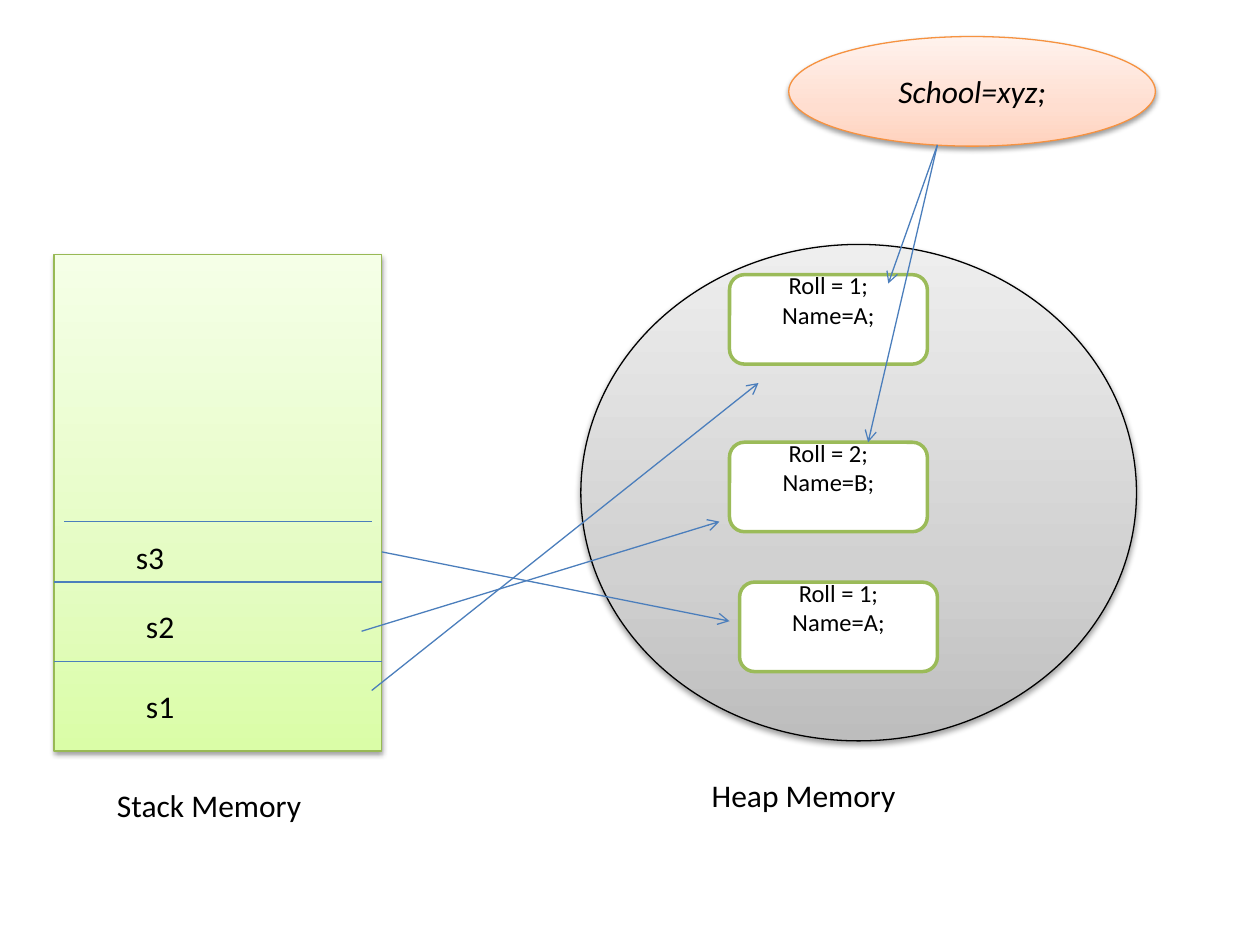
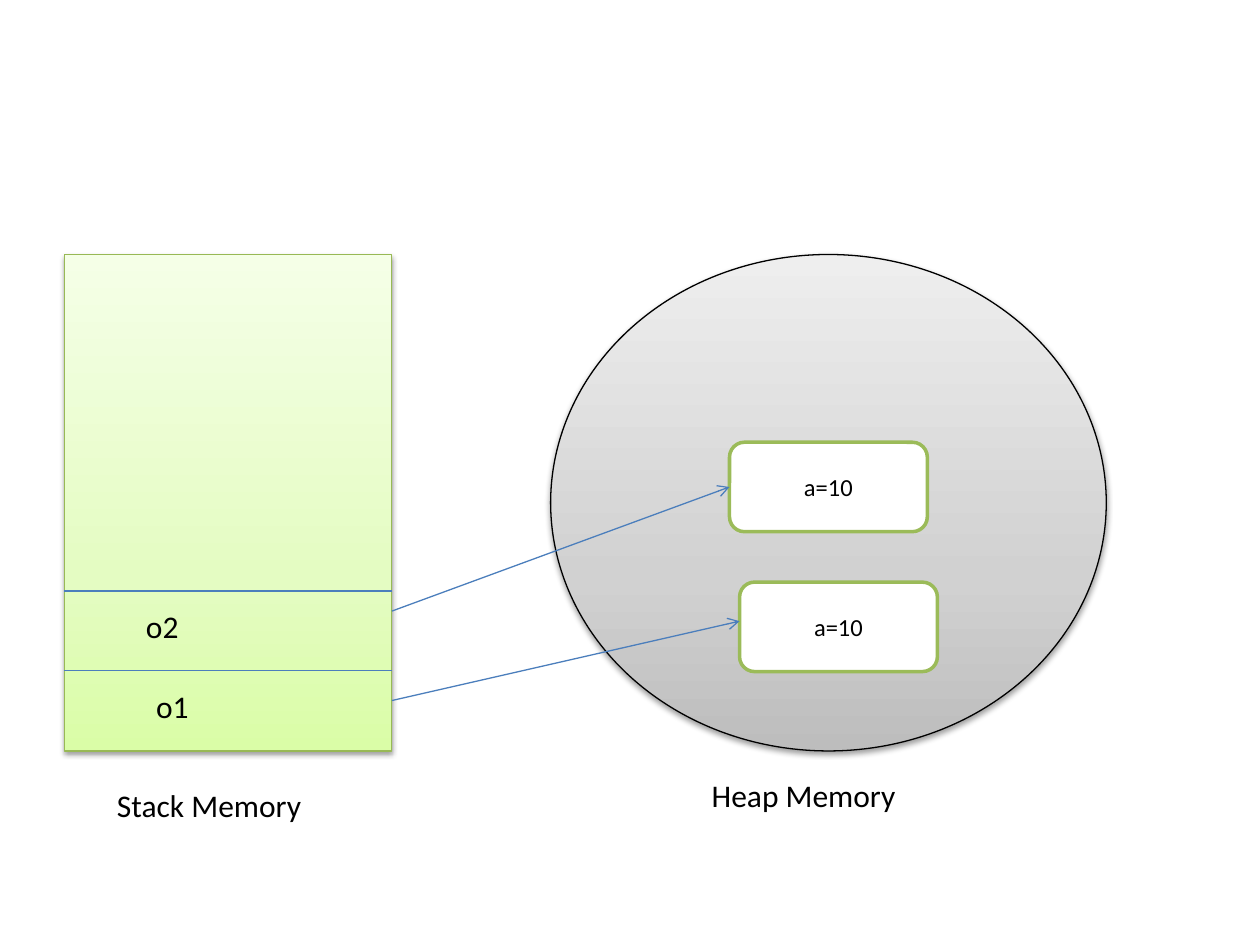
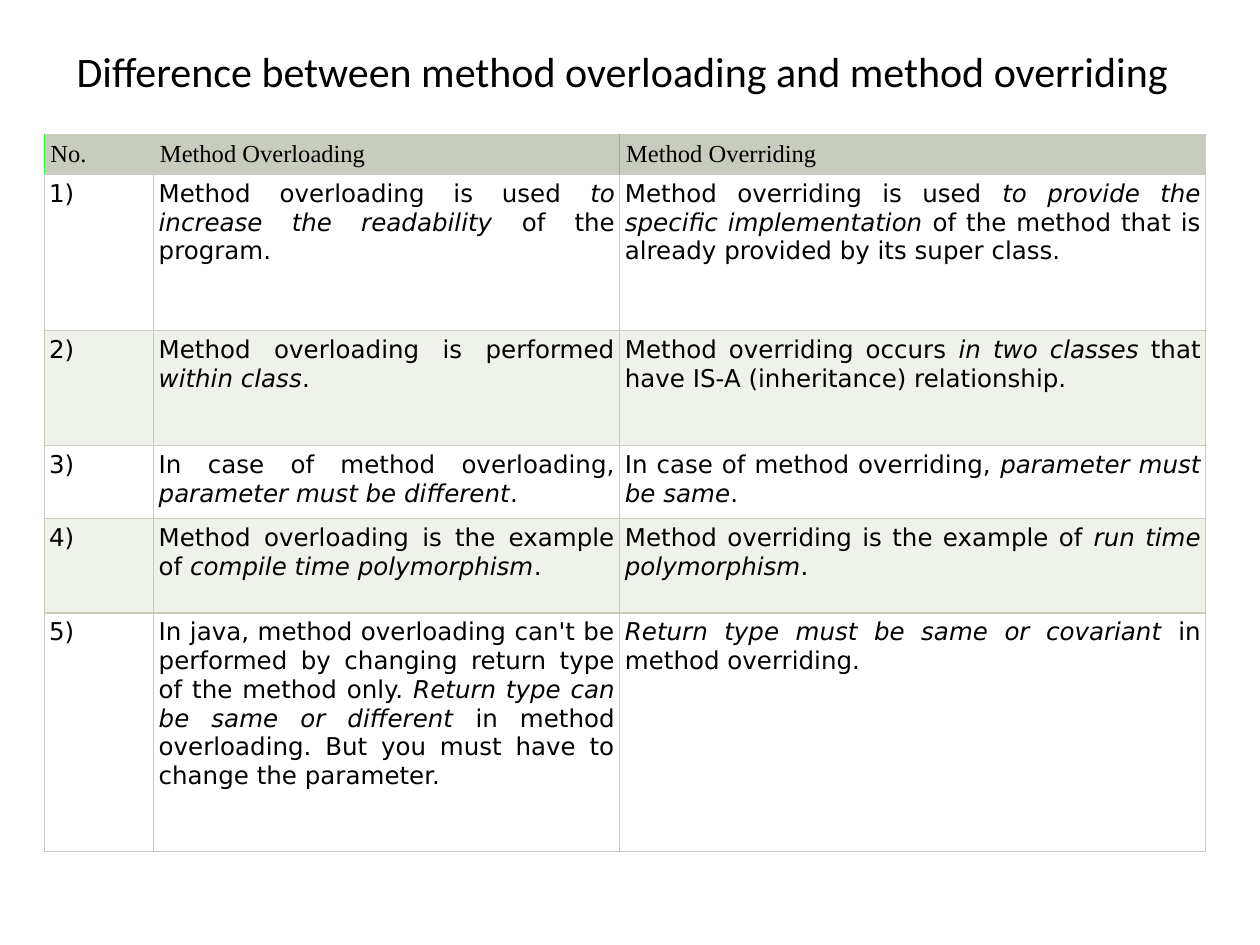
import copy
import dataclasses
import typing

import lxml.etree
import pptx
import pptx.dml.color
import pptx.enum.dml
import pptx.enum.shapes
import pptx.enum.text
import pptx.oxml.ns
import pptx.shapes.autoshape
import pptx.shapes.connector
import pptx.slide
import pptx.table
import pptx.util

Inches = pptx.util.Inches
Pt = pptx.util.Pt
SHAPE = pptx.enum.shapes.MSO_SHAPE
ANCHOR = pptx.enum.text.MSO_ANCHOR
ALIGN = pptx.enum.text.PP_ALIGN

BLACK, WHITE = "000000", "FFFFFF"
LINE_BLUE = "4B7EBC"
OBJECT_GREEN = "9BBB59"
TABLE_GREY, BAND_GREY, HEADER_GREEN = "C7CCBE", "EFF1EB", "30F43A"
BODY_FONT, HEADER_FONT, CELL_FONT = "Calibri", "Times New Roman", "DejaVu Sans"

LABEL_FORMAT = {"word_wrap": True, "auto_size": pptx.enum.text.MSO_AUTO_SIZE.SHAPE_TO_FIT_TEXT}
TITLE_FORMAT = {"word_wrap": True, "vertical_anchor": ANCHOR.TOP}
CENTRED_FORMAT = {"word_wrap": True, "vertical_anchor": ANCHOR.MIDDLE}
RAISED_FORMAT = CENTRED_FORMAT | {"margin_top": 0, "margin_bottom": Inches(0.31)}
PLAIN_TABLE = {"first_row": False, "horz_banding": False}

STACK_TOP, STACK_WIDTH, MEMORY_HEIGHT = 2.02, 2.6, 3.94
HEAP_WIDTH = 4.41
OBJECT_WIDTH, OBJECT_HEIGHT = 1.57, 0.71


class Box(typing.NamedTuple):
    left: float
    top: float
    width: float
    height: float


class Label(typing.NamedTuple):
    text: str
    left: float
    top: float
    width: float = 0.79


class HeapObject(typing.NamedTuple):
    text: str
    left: float
    top: float


class Segment(typing.NamedTuple):
    x1: float
    y1: float
    x2: float
    y2: float
    target: int | None = None  # index of the heap object joined at its left side


class Gradient(typing.NamedTuple):
    bottom: str
    middle: str
    top: str
    outline: str


STACK_STYLE = Gradient("DAFDA7", "E4FCC2", "F5FFE7", "98B955")
HEAP_STYLE = Gradient("BDBDBD", "D1D1D1", "EEEEEE", BLACK)
STATIC_STYLE = Gradient("FFD2BD", "FFDED0", "FFF2ED", "F69240")
CAPTIONS = (Label("Stack Memory", 0.83, 6.19, 1.89), Label("Heap Memory", 5.55, 6.11, 1.89))


@dataclasses.dataclass(frozen=True)
class MemoryDiagram:
    stack_left: float
    heap_left: float
    heap_top: float
    dividers: tuple[Segment, ...]
    variables: tuple[Label, ...]
    objects: tuple[HeapObject, ...]
    references: tuple[Segment, ...]
    static_field: str = ""


SCHOOL_DIAGRAM = MemoryDiagram(
    stack_left=0.43,
    heap_left=4.61,
    heap_top=1.94,
    dividers=(
        Segment(0.43, 5.25, 3.03, 5.25),
        Segment(0.43, 4.62, 3.03, 4.62),
        Segment(0.51, 4.14, 2.95, 4.14),
    ),
    variables=(Label("s1", 1.06, 5.4), Label("s2", 1.06, 4.77), Label("s3", 0.98, 4.22)),
    objects=(
        HeapObject("Roll = 1;\nName=A;", 5.79, 2.18),
        HeapObject("Roll = 2;\nName=B;", 5.79, 3.51),
        HeapObject("Roll = 1;\nName=A;", 5.87, 4.62),
    ),
    references=(
        Segment(2.87, 5.01, 5.71, 4.14),
        Segment(2.95, 5.48, 6.02, 3.04),
        Segment(7.44, 1.15, 7.05, 2.25),
        Segment(7.44, 1.15, 6.89, 3.51),
        Segment(3.03, 4.38, 5.79, 4.93),
    ),
    static_field="School=xyz;",
)

INSTANCE_DIAGRAM = MemoryDiagram(
    stack_left=0.51,
    heap_left=4.37,
    heap_top=2.02,
    dividers=(Segment(0.51, 5.32, 3.11, 5.32), Segment(0.51, 4.69, 3.11, 4.69)),
    variables=(Label("o1", 1.14, 5.4), Label("o2", 1.06, 4.77)),
    objects=(HeapObject("a=10", 5.79, 3.51), HeapObject("a=10", 5.87, 4.62)),
    references=(
        Segment(3.11, 5.56, 5.87, 4.93),
        Segment(3.11, 4.85, 5.79, 3.87, target=0),
    ),
)

# Asterisks enclose italic wording.
COMPARISON_HEADER = ("No.", "Method Overloading", "Method Overriding")
COMPARISON = (
    (
        "Method overloading is used *to increase the readability* of the program.",
        "Method overriding is used *to provide the specific implementation* of the method "
        "that is already provided by its super class.",
    ),
    (
        "Method overloading is performed *within class*.",
        "Method overriding occurs *in two classes* that have IS-A (inheritance) relationship.",
    ),
    (
        "In case of method overloading, *parameter must be different*.",
        "In case of method overriding, *parameter must be same*.",
    ),
    (
        "Method overloading is the example of *compile time polymorphism*.",
        "Method overriding is the example of *run time polymorphism*.",
    ),
    (
        "In java, method overloading can't be performed by changing return type of the method "
        "only. *Return type can be same or different* in method overloading. But you must have "
        "to change the parameter.",
        "*Return type must be same or covariant* in method overriding.",
    ),
)
COLUMN_WIDTHS = (0.87, 3.7, 4.65)
ROW_HEIGHTS = (0.31, 1.24, 0.91, 0.58, 0.75, 1.89)


def rgb(value: str) -> pptx.dml.color.RGBColor:
    return pptx.dml.color.RGBColor.from_string(value)


def apply_format(target: typing.Any, values: dict[str, typing.Any]) -> None:
    for name, value in values.items():
        setattr(target, name, value)


def add_xml(parent: typing.Any, tag: str, **attributes: str) -> typing.Any:
    return lxml.etree.SubElement(parent, pptx.oxml.ns.qn(tag), attributes)


def write(frame: typing.Any, text: str, size: float, font: str = BODY_FONT,
          align: ALIGN = ALIGN.LEFT, italic: bool = False) -> None:
    """Write one paragraph per line; wording between asterisks is italic."""
    for number, line in enumerate(text.split("\n")):
        paragraph = frame.add_paragraph() if number else frame.paragraphs[0]
        paragraph.alignment = align
        for part, wording in enumerate(line.split("*")):
            if wording:
                run = paragraph.add_run()
                run.text = wording
                apply_format(run.font, {"size": Pt(size), "name": font,
                                        "italic": italic or part % 2 == 1})
                run.font.color.rgb = rgb(BLACK)


def add_text(slide: pptx.slide.Slide, box: Box, text: str, size: float,
             frame_format: dict[str, typing.Any]) -> None:
    frame = slide.shapes.add_textbox(*map(Inches, box)).text_frame
    apply_format(frame, frame_format)
    write(frame, text, size)


def add_label(slide: pptx.slide.Slide, label: Label) -> None:
    add_text(slide, Box(label.left, label.top, label.width, 0.4), label.text, 18, LABEL_FORMAT)


def add_outlined(slide: pptx.slide.Slide, kind: SHAPE, box: Box, outline: str,
                 weight: float) -> pptx.shapes.autoshape.Shape:
    shape = slide.shapes.add_shape(kind, *map(Inches, box))
    shape.shadow.inherit = False
    shape.line.color.rgb = rgb(outline)
    shape.line.width = Pt(weight)
    return shape


def add_region(slide: pptx.slide.Slide, kind: SHAPE, box: Box,
               style: Gradient) -> pptx.shapes.autoshape.Shape:
    """Add a shape with a three-stop vertical gradient and a soft shadow below."""
    shape = add_outlined(slide, kind, box, style.outline, 0.75)
    shape.fill.gradient()
    shape.fill.gradient_angle = 90
    properties = shape._element.spPr
    stop_list = properties.find(".//" + pptx.oxml.ns.qn("a:gsLst"))
    stop_list.insert(1, copy.deepcopy(stop_list[0]))
    colours = (style.bottom, style.middle, style.top)
    for stop, position, colour in zip(shape.fill.gradient_stops, (0, 0.35, 1), colours):
        stop.position = position
        stop.color.rgb = rgb(colour)

    effects = properties.find(pptx.oxml.ns.qn("a:effectLst"))
    shadow = add_xml(effects, "a:outerShdw", blurRad=str(Pt(3.1)), dist=str(Pt(1.6)),
                     dir="5400000", rotWithShape="0")
    shadow_colour = add_xml(shadow, "a:srgbClr", val=BLACK)
    add_xml(shadow_colour, "a:alpha", val="38000")
    return shape


def add_object(slide: pptx.slide.Slide, item: HeapObject) -> pptx.shapes.autoshape.Shape:
    box = Box(item.left, item.top, OBJECT_WIDTH, OBJECT_HEIGHT)
    shape = add_outlined(slide, SHAPE.ROUNDED_RECTANGLE, box, OBJECT_GREEN, 2)
    shape.fill.solid()
    shape.fill.fore_color.rgb = rgb(WHITE)
    apply_format(shape.text_frame, RAISED_FORMAT if "\n" in item.text else CENTRED_FORMAT)
    write(shape.text_frame, item.text, 14, align=ALIGN.CENTER)
    return shape


def add_line(slide: pptx.slide.Slide, segment: Segment,
             arrow: bool = False) -> pptx.shapes.connector.Connector:
    line = slide.shapes.add_connector(pptx.enum.shapes.MSO_CONNECTOR.STRAIGHT,
                                      *map(Inches, segment[:4]))
    line.line.color.rgb = rgb(LINE_BLUE)
    line.line.width = Pt(0.75)
    if arrow:
        add_xml(line.line._get_or_add_ln(), "a:tailEnd", type="arrow")
    add_xml(line._element.spPr, "a:effectLst")
    return line


def draw_memory(slide: pptx.slide.Slide, diagram: MemoryDiagram) -> None:
    stack = Box(diagram.stack_left, STACK_TOP, STACK_WIDTH, MEMORY_HEIGHT)
    heap = Box(diagram.heap_left, diagram.heap_top, HEAP_WIDTH, MEMORY_HEIGHT)
    add_region(slide, SHAPE.RECTANGLE, stack, STACK_STYLE)
    for divider in diagram.dividers:
        add_line(slide, divider)
    add_region(slide, SHAPE.OVAL, heap, HEAP_STYLE)
    for label in diagram.variables + CAPTIONS:
        add_label(slide, label)
    objects = [add_object(slide, item) for item in diagram.objects]
    if diagram.static_field:
        static = add_region(slide, SHAPE.OVAL, Box(6.26, 0.29, 2.91, 0.87), STATIC_STYLE)
        apply_format(static.text_frame, CENTRED_FORMAT)
        write(static.text_frame, diagram.static_field, 18, align=ALIGN.CENTER, italic=True)
    for reference in diagram.references:
        arrow = add_line(slide, reference, arrow=True)
        if reference.target is not None:
            arrow.end_connect(objects[reference.target], 1)


def style_cell(cell: pptx.table._Cell, fill: str, inset: float, borders: dict[str, str]) -> None:
    properties = cell._tc.get_or_add_tcPr()
    for side in ("L", "R", "T", "B"):
        border = add_xml(properties, f"a:ln{side}", w=str(Pt(0.75)))
        add_xml(add_xml(border, "a:solidFill"), "a:srgbClr", val=borders.get(side, TABLE_GREY))
    cell.fill.solid()
    cell.fill.fore_color.rgb = rgb(fill)
    sides = ("left", "right", "top", "bottom")
    apply_format(cell, {f"margin_{side}": Inches(inset) for side in sides})


def draw_comparison(slide: pptx.slide.Slide) -> None:
    box = Box(0.35, 1.07, sum(COLUMN_WIDTHS), sum(ROW_HEIGHTS))
    table = slide.shapes.add_table(len(ROW_HEIGHTS), len(COLUMN_WIDTHS),
                                   *map(Inches, box)).table
    apply_format(table, PLAIN_TABLE)
    for column, width in zip(table.columns, COLUMN_WIDTHS):
        column.width = Inches(width)
    for row, height in zip(table.rows, ROW_HEIGHTS):
        row.height = Inches(height)

    header_borders = ({"L": HEADER_GREEN}, {"R": HEADER_GREEN}, {"L": HEADER_GREEN})
    for column, heading in enumerate(COMPARISON_HEADER):
        cell = table.cell(0, column)
        style_cell(cell, TABLE_GREY, 0.05, header_borders[column])
        write(cell.text_frame, heading, 14, HEADER_FONT)
    for number, differences in enumerate(COMPARISON, start=1):
        for column, text in enumerate((f"{number})", *differences)):
            cell = table.cell(number, column)
            style_cell(cell, WHITE if number % 2 else BAND_GREY, 0.04, {})
            write(cell.text_frame, text, 14, CELL_FONT, ALIGN.JUSTIFY)

    add_text(slide, Box(0.51, 0.31, 9, 1.07),
             "Difference between method overloading and method overriding", 24, TITLE_FORMAT)


def main() -> None:
    presentation = pptx.Presentation()
    apply_format(presentation, {"slide_width": Inches(10), "slide_height": Inches(7.5)})
    blank = presentation.slide_layouts[6]
    for diagram in (SCHOOL_DIAGRAM, INSTANCE_DIAGRAM):
        draw_memory(presentation.slides.add_slide(blank), diagram)
    draw_comparison(presentation.slides.add_slide(blank))
    presentation.save("out.pptx")


if __name__ == "__main__":
    main()
